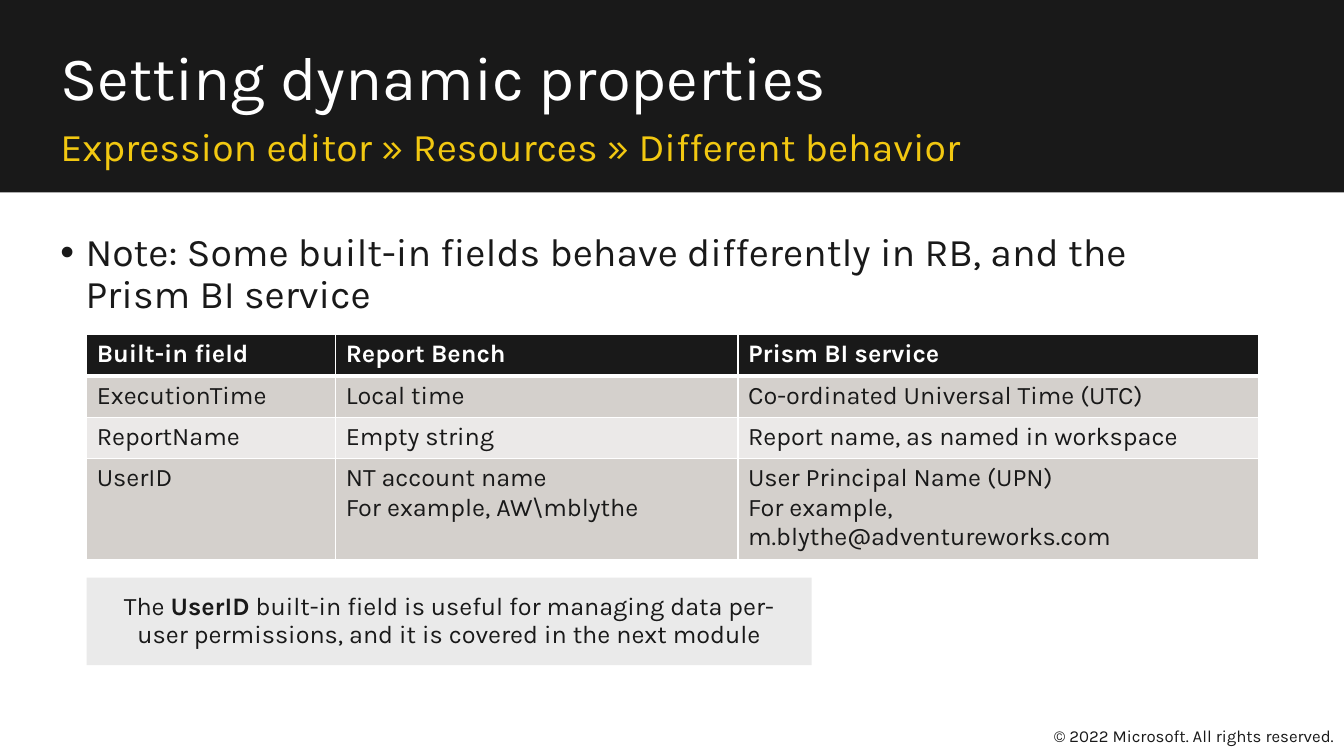
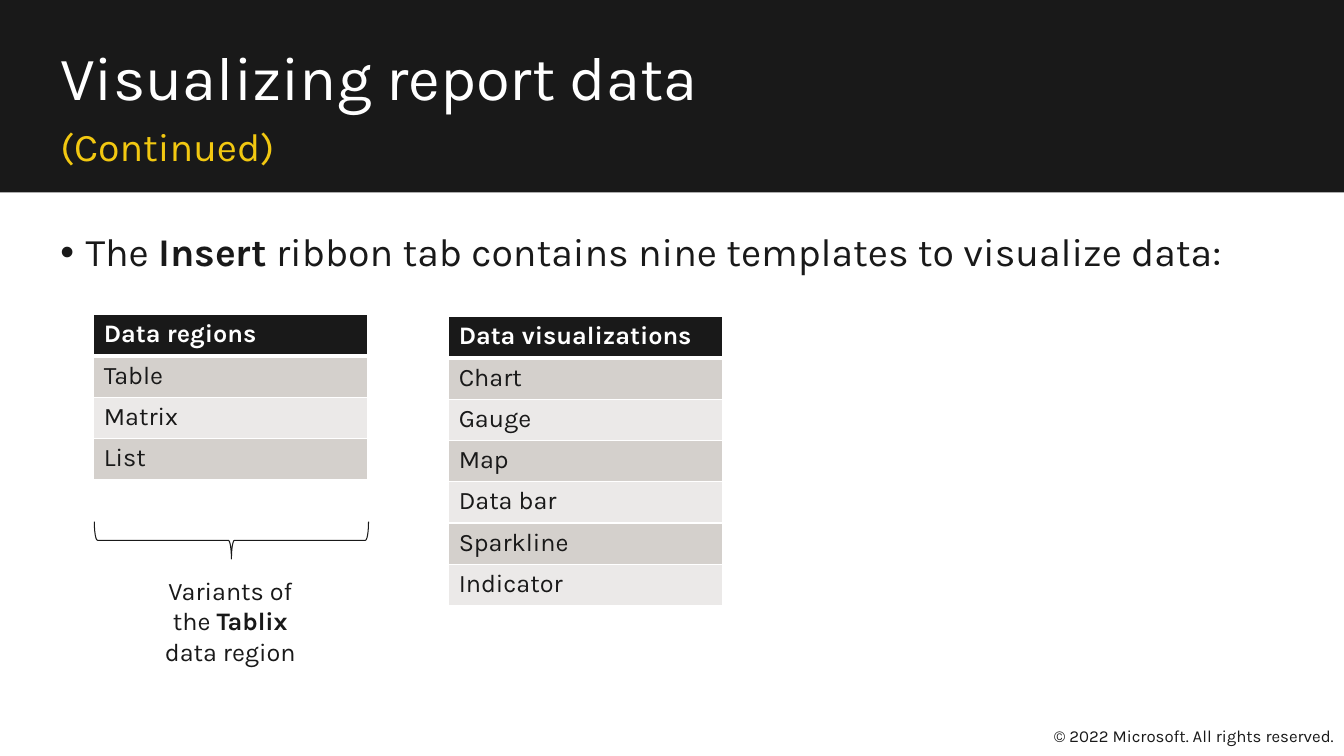
from lxml.etree import SubElement
from pptx import Presentation
from pptx.dml.color import RGBColor as RGB
from pptx.enum.shapes import MSO_SHAPE as Shape
from pptx.enum.text import MSO_ANCHOR as Anchor, PP_ALIGN as Align
from pptx.oxml.ns import qn
from pptx.util import Inches, Pt


class Theme:
    face = "Karla"
    dark = RGB.from_string("191919")
    white = RGB.from_string("FFFFFF")
    gold = RGB.from_string("F2C811")
    note = RGB.from_string("EAEAEA")
    bands = [RGB.from_string("D4D0CC"), RGB.from_string("EBE9E8")]
    title, body, small, foot = 44, 28, 18, 12


# Content: ** switches bold on and off, a newline breaks the line
FOOTER = "© 2022 Microsoft. All rights reserved."
FIELDS = [
    ("Built-in field", "Report Bench", "Prism BI service"),
    ("ExecutionTime", "Local time", "Co-ordinated Universal Time (UTC)"),
    ("ReportName", "Empty string", "Report name, as named in workspace"),
    ("UserID", "NT account name\nFor example, AW\\mblythe",
     "User Principal Name (UPN)\nFor example, m.blythe@adventureworks.com"),
]
REGIONS = ["Data regions", "Table", "Matrix", "List"]
VISUALS = ["Data visualizations", "Chart", "Gauge", "Map", "Data bar",
           "Sparkline", "Indicator"]
SLIDES = [
    {
        "title": "Setting dynamic properties",
        "sub": "Expression editor » Resources » Different behavior",
        "point": "Note: Some built-in fields behave differently in RB, and the\n"
                 "Prism BI service",
        "tables": [(0.86, 3.32, [2.47, 3.99, 5.16], FIELDS)],
        "note": "The **UserID** built-in field is useful for managing data "
                "per-user permissions, and it is covered in the next module",
    },
    {
        "title": "Visualizing report data",
        "sub": "(Continued)",
        "point": "The **Insert** ribbon tab contains nine templates to "
                 "visualize data:",
        "tables": [(0.93, 3.12, [2.72], [(name,) for name in REGIONS]),
                   (4.45, 3.14, [2.72], [(name,) for name in VISUALS])],
        "brace": "Variants of the **Tablix** data region",
    },
]


# Text
def write(para, text, size, color=Theme.dark, bold=None, align=None, lead=None):
    para.alignment, para.line_spacing = align, lead
    font = para.font
    font.name, font.size, font.bold = Theme.face, Pt(size), bold
    font.color.rgb = color
    for i, part in enumerate(text.split("**")):
        for j, line in enumerate(part.split("\n")):
            if j:
                para.add_line_break()
            run = para.add_run()
            run.text = line
            if i % 2:
                run.font.bold = True


def bullet(para):
    props = para._p.get_or_add_pPr()
    props.set("marL", str(Inches(0.25)))
    props.set("indent", str(-Inches(0.25)))
    SubElement(props, qn("a:buFont"), typeface="Arial")
    SubElement(props, qn("a:buChar"), char="•")


def add_text(shapes, box, text, size, anchor=Anchor.TOP, dot=False, **style):
    frame = shapes.add_textbox(*map(Inches, box)).text_frame
    frame.word_wrap, frame.vertical_anchor = True, anchor
    para = frame.paragraphs[0]
    if dot:
        bullet(para)
    write(para, text, size, **style)
    return frame


# Shapes
def add_rect(shapes, box, color):
    rect = shapes.add_shape(Shape.RECTANGLE, *map(Inches, box))
    rect.shadow.inherit = False
    rect.fill.solid()
    rect.fill.fore_color.rgb = color
    rect.line.fill.background()
    return rect


def add_note(shapes, text):
    frame = add_rect(shapes, (0.86, 5.73, 7.19, 0.87), Theme.note).text_frame
    frame.word_wrap = True
    frame.margin_left = frame.margin_right = Inches(0.2)
    frame.margin_top = frame.margin_bottom = Inches(0.16)
    para = frame.paragraphs[0]
    write(para, text, Theme.small, align=Align.CENTER, lead=0.9)
    para.space_after = Pt(6)


def add_brace(shapes, text):
    group = shapes.add_group_shape().shapes
    brace = group.add_shape(Shape.RIGHT_BRACE,
                            *map(Inches, (2.11, 4, 0.37, 2.72)))
    brace.rotation = 90
    brace.shadow.inherit = False
    brace.fill.background()
    brace.line.color.rgb, brace.line.width = Theme.dark, Pt(0.75)
    add_text(group, (1.36, 5.66, 1.85, 1.01), text, Theme.small,
             align=Align.CENTER)


# Tables
def rule(cell, row):
    props = cell._tc.get_or_add_tcPr()
    widths = {"L": 1, "R": 1, "T": 3 if row == 1 else 1, "B": 1 if row else 3}
    for side, width in widths.items():
        line = SubElement(props, qn("a:ln" + side), w=str(Pt(width)))
        fill = SubElement(line, qn("a:solidFill"))
        SubElement(fill, qn("a:srgbClr"), val=str(Theme.white))


def add_grid(shapes, left, top, widths, rows):
    high = 0.41
    box = left, top, sum(widths), high * len(rows)
    grid = shapes.add_table(len(rows), len(widths), *map(Inches, box)).table
    for col, width in zip(grid.columns, widths):
        col.width = Inches(width)
    for r, row in enumerate(rows):
        grid.rows[r].height = Inches(high)
        for c, text in enumerate(row):
            cell = grid.cell(r, c)
            rule(cell, r)
            cell.fill.solid()
            cell.fill.fore_color.rgb = Theme.bands[(r - 1) % 2] if r else Theme.dark
            write(cell.text_frame.paragraphs[0], text, Theme.small,
                  color=Theme.dark if r else Theme.white, bold=r == 0)


# Slides
def add_slide(deck, data):
    shapes = deck.slides.add_slide(deck.slide_layouts[6]).shapes
    add_rect(shapes, (0, 0, 13.33, 1.91), Theme.dark)
    left, wide = 0.5, 12.29
    add_text(shapes, (left, 0.42, wide, 0.76), data["title"], Theme.title,
             color=Theme.white, lead=0.9)
    add_text(shapes, (left, 1.18, wide, 0.59), data["sub"], Theme.body,
             anchor=Anchor.MIDDLE, color=Theme.gold, lead=0.9)
    add_text(shapes, (left, 2.26, wide, 5.24), data["point"], Theme.body,
             dot=True, lead=0.9)
    for grid in data["tables"]:
        add_grid(shapes, *grid)
    if "note" in data:
        add_note(shapes, data["note"])
    if "brace" in data:
        add_brace(shapes, data["brace"])
    foot = add_text(shapes, (10.35, 7.1, 2.98, 0.4), FOOTER, Theme.foot,
                    anchor=Anchor.MIDDLE, align=Align.RIGHT)
    foot.margin_left = 0


def main():
    deck = Presentation()
    deck.slide_width, deck.slide_height = Inches(13.33), Inches(7.5)
    for data in SLIDES:
        add_slide(deck, data)
    deck.save("out.pptx")


if __name__ == "__main__":
    main()
